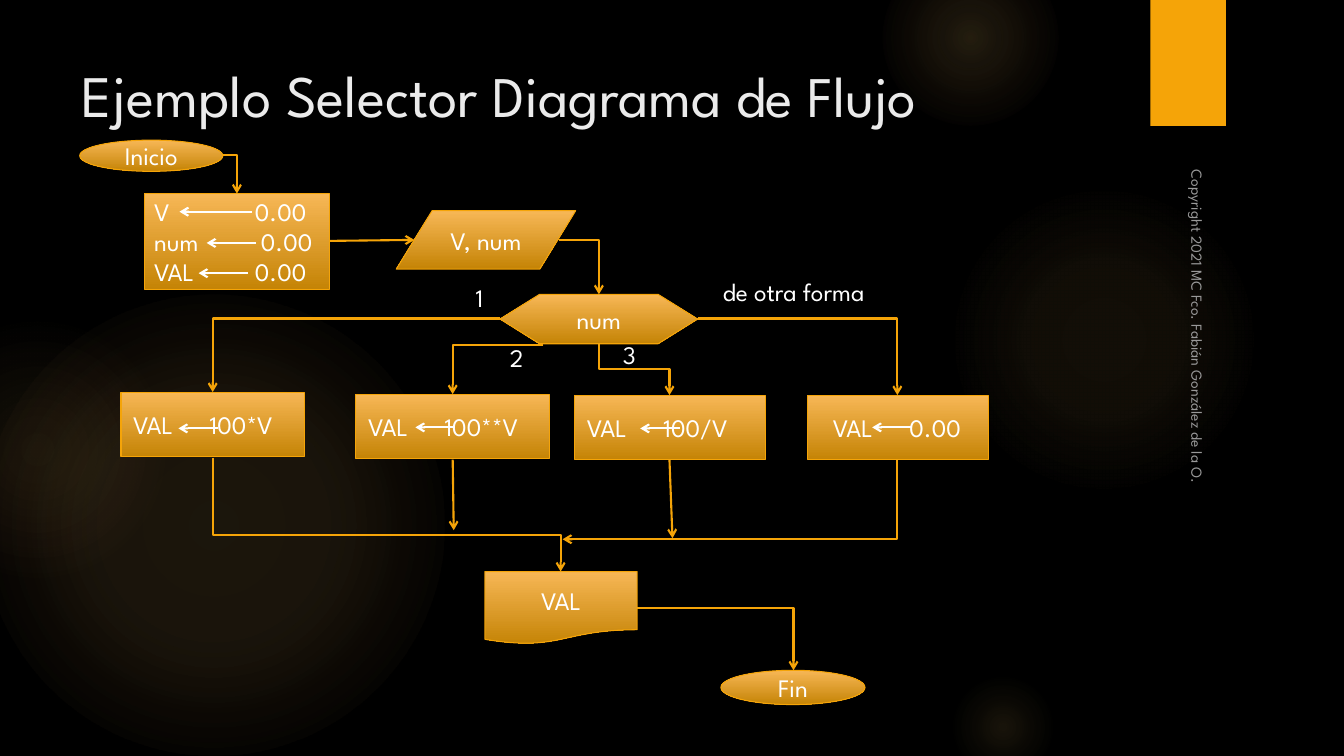
from dataclasses import dataclass

from lxml import etree
from pptx import Presentation
from pptx.dml.color import RGBColor
from pptx.enum import shapes, text
from pptx.oxml.ns import qn
from pptx.util import Inches, Pt


@dataclass(frozen=True)
class Theme:
    font: str = "League Spartan"
    background: str = "000000"
    heading: str = "EBEBEB"
    body: str = "FFFFFF"
    muted: str = "999999"
    accent: str = "F5A408"
    node_top: str = "F7B756"
    node_bottom: str = "C58406"
    glow: str = "FAC96A"
    glow_warm: str = "F59B74"
    title_size: float = 42
    title_end_size: float = 41
    body_size: float = 18
    credit_size: float = 11


theme = Theme()
rgb = RGBColor.from_string
KIND = shapes.MSO_SHAPE


def write(paragraph, words, size=theme.body_size, color=theme.body):
    run = paragraph.add_run()
    run.text = words
    for key, value in {"name": theme.font, "size": Pt(size)}.items():
        setattr(run.font, key, value)
    run.font.color.rgb = rgb(color)


def connect(start, end, color=theme.accent, preset="line", arrow_at="tailEnd"):
    line = flow.shapes.add_connector(
        shapes.MSO_CONNECTOR.STRAIGHT, *map(Inches, (*start, *end)))
    line.line.color.rgb = rgb(color)
    line.line.width = Pt(1.5)
    properties = line._element.spPr
    properties.find(qn("a:prstGeom")).set("prst", preset)
    etree.SubElement(properties.find(qn("a:ln")), qn(f"a:{arrow_at}"), type="arrow")
    etree.SubElement(properties, qn("a:effectLst"))
    return properties


# Slide
deck = Presentation()
deck.slide_width, deck.slide_height = Inches(13.33), Inches(7.5)
flow = deck.slides.add_slide(deck.slide_layouts[5])
flow.background.fill.solid()
flow.background.fill.fore_color.rgb = rgb(theme.background)

# Background glows: left, top, diameter, then (position %, opacity %) stops
glows = [
    (-0.17, 2.92, 4.58, theme.glow, [(0, 11), (36, 10), (75, 0)]),
    (-0.92, 3.17, 2.58, theme.glow_warm, [(0, 8), (36, 5), (71, 0)]),
    (9.41, 1.83, 3.08, theme.glow, [(0, 7), (36, 6), (69, 0)]),
    (8.75, -0.5, 1.75, theme.glow, [(0, 14), (36, 7), (73, 0)]),
    (9.41, 6.67, 1.08, theme.glow, [(0, 10), (31, 5), (66, 0)]),
]
for left, top, diameter, rim, stops in glows:
    glow = flow.shapes.add_shape(
        KIND.OVAL, *map(Inches, (left, top, diameter, diameter)))
    glow.shadow.inherit = False
    glow.line.fill.background()
    glow.fill.gradient()
    gradient = glow._element.spPr.find(qn("a:gradFill"))
    gradient.clear()
    stop_list = etree.SubElement(gradient, qn("a:gsLst"))
    for position, opacity in stops:
        stop = etree.SubElement(stop_list, qn("a:gs"), pos=str(position * 1000))
        tint = etree.SubElement(
            stop, qn("a:srgbClr"), val=theme.glow if opacity else rim)
        etree.SubElement(tint, qn("a:alpha"), val=str(opacity * 1000))
    radial = etree.SubElement(gradient, qn("a:path"), path="circle")
    etree.SubElement(radial, qn("a:fillToRect"),
                     dict.fromkeys("ltrb", "50000"))

# Accent tab
tab = flow.shapes.add_shape(
    KIND.RECTANGLE, *map(Inches, (11.41, 0, 0.75, 1.25)))
tab.shadow.inherit = False
tab.fill.solid()
tab.fill.fore_color.rgb = rgb(theme.accent)
tab.line.fill.background()

# Title
title = flow.shapes.title
title_format = {"left": Inches(0.71), "top": Inches(0.5),
                "width": Inches(10.29), "height": Inches(0.86)}
for key, value in title_format.items():
    setattr(title, key, value)
title.text_frame.vertical_anchor = text.MSO_ANCHOR.MIDDLE
heading = title.text_frame.paragraphs[0]
heading.alignment = text.PP_ALIGN.LEFT
write(heading, "Ejemplo Selector ", theme.title_size, theme.heading)
write(heading, "Diagrama de Flujo", theme.title_end_size, theme.heading)

# Sideways copyright line
credit = flow.shapes.add_textbox(*map(Inches, (9.79, 3.53, 4.22, 0.33)))
credit.rotation = 90
credit.text_frame.word_wrap = True
credit.text_frame.vertical_anchor = text.MSO_ANCHOR.BOTTOM
write(credit.text_frame.paragraphs[0],
      "Copyright 2021 MC Fco. Fabián González de la O.",
      theme.credit_size, theme.muted)

# Flow nodes: shape, box, lines, left inset; a tab leaves room for an arrow
nodes = [
    (KIND.OVAL, (0.79, 1.39, 1.42, 0.31), ["Inicio"], 0.1),
    (KIND.RECTANGLE, (1.43, 1.92, 1.84, 0.95),
     ["V\t0.00", "num\t0.00", "VAL\t0.00"], 0.1),
    (KIND.FLOWCHART_DATA, (3.93, 2.09, 1.78, 0.58), ["V, num"], 0.1),
    (KIND.FLOWCHART_PREPARATION, (4.96, 2.92, 1.96, 0.49), ["num"], 0.1),
    (KIND.RECTANGLE, (1.2, 3.89, 1.82, 0.64), ["VAL\t100*V"], 0.12),
    (KIND.RECTANGLE, (3.53, 3.91, 1.92, 0.64), ["VAL\t100**V"], 0.12),
    (KIND.RECTANGLE, (5.7, 3.92, 1.89, 0.64), ["VAL\t100/V"], 0.12),
    (KIND.RECTANGLE, (8.01, 3.92, 1.79, 0.64), ["VAL\t0.00"], 0.25),
    (KIND.FLOWCHART_DOCUMENT, (4.81, 5.67, 1.51, 0.72), ["VAL"], 0.1),
    (KIND.OVAL, (7.15, 6.65, 1.43, 0.34), ["Fin"], 0.1),
]
for kind, box, lines, inset in nodes:
    node = flow.shapes.add_shape(kind, *map(Inches, box))
    node.shadow.inherit = False
    node.fill.gradient()
    node.fill.gradient_angle = 270
    for stop, color, position in zip(node.fill.gradient_stops,
                                     (theme.node_top, theme.node_bottom), (0, 1)):
        stop.color.rgb = rgb(color)
        stop.position = position
    node.line.color.rgb = rgb(theme.accent)
    node.line.width = Pt(0.75)
    frame = node.text_frame
    frame_format = {"word_wrap": True, "vertical_anchor": text.MSO_ANCHOR.MIDDLE,
                    "margin_left": Inches(inset), "margin_top": 0,
                    "margin_bottom": 0}
    for key, value in frame_format.items():
        setattr(frame, key, value)
    for index, words in enumerate(lines):
        paragraph = frame.add_paragraph() if index else frame.paragraphs[0]
        paragraph.alignment = text.PP_ALIGN.CENTER
        if "\t" in words:
            paragraph.alignment = text.PP_ALIGN.LEFT
            gap = 0.76 if len(lines) == 1 else 1.06 if index == 1 else 1
            tabs = etree.SubElement(
                paragraph._p.get_or_add_pPr(), qn("a:tabLst"))
            etree.SubElement(tabs, qn("a:tab"), pos=str(Inches(gap)), algn="l")
        write(paragraph, words)

# Branch labels
for left, top, width, words in [(4.62, 2.75, 0.34, "1"), (4.96, 3.35, 0.34, "2"),
                                (6.08, 3.32, 0.34, "3"),
                                (7.07, 2.69, 1.91, "de otra forma")]:
    label = flow.shapes.add_textbox(*map(Inches, (left, top, width, 0.4)))
    label.text_frame.word_wrap = False
    write(label.text_frame.paragraphs[0], words)

# Assignment arrows inside the nodes
for right, left, y in [(2.5, 1.78, 2.1), (2.54, 2.05, 2.41), (2.46, 1.97, 2.71),
                       (2.16, 1.77, 4.25), (4.51, 4.12, 4.24),
                       (6.74, 6.35, 4.25), (9.04, 8.65, 4.24)]:
    connect((right, y), (left, y), theme.body)

# Straight flow arrows
for start, end in [((3.27, 2.39), (4.11, 2.38)), ((4.49, 4.56), (4.5, 5.26)),
                   ((6.64, 4.56), (6.67, 5.34))]:
    connect(start, end)

# One-bend arrows: across, then down
for start, end in [((2.21, 1.54), (2.35, 1.92)), ((5.54, 2.38), (5.94, 2.92)),
                   ((4.96, 3.16), (2.11, 3.89)), ((5.39, 3.42), (4.49, 3.91)),
                   ((6.92, 3.16), (8.9, 3.92)), ((6.32, 6.03), (7.87, 6.65))]:
    connect(start, end, preset="bentConnector2")

# Return from the default branch, with its arrowhead at the first point
connect((5.58, 5.35), (8.9, 4.56), preset="bentConnector2", arrow_at="headEnd")

# Two-bend arrows: down, across, down, as a quarter turn about the centre
for (x1, y1), (x2, y2), bend in [((5.94, 3.41), (6.64, 3.92), 50),
                                 ((2.11, 4.54), (5.56, 5.67), 68)]:
    x, y = (x1 + x2) / 2, (y1 + y2) / 2
    across, down = (x2 - x1) / 2, (y2 - y1) / 2
    turned = connect((x + down, y - across), (x - down, y + across),
                     preset="bentConnector3")
    turned.find(qn("a:xfrm")).set("rot", str(270 * 60000))
    etree.SubElement(turned.find(qn("a:prstGeom")).find(qn("a:avLst")),
                     qn("a:gd"), name="adj1", fmla=f"val {bend * 1000}")

deck.save("out.pptx")
